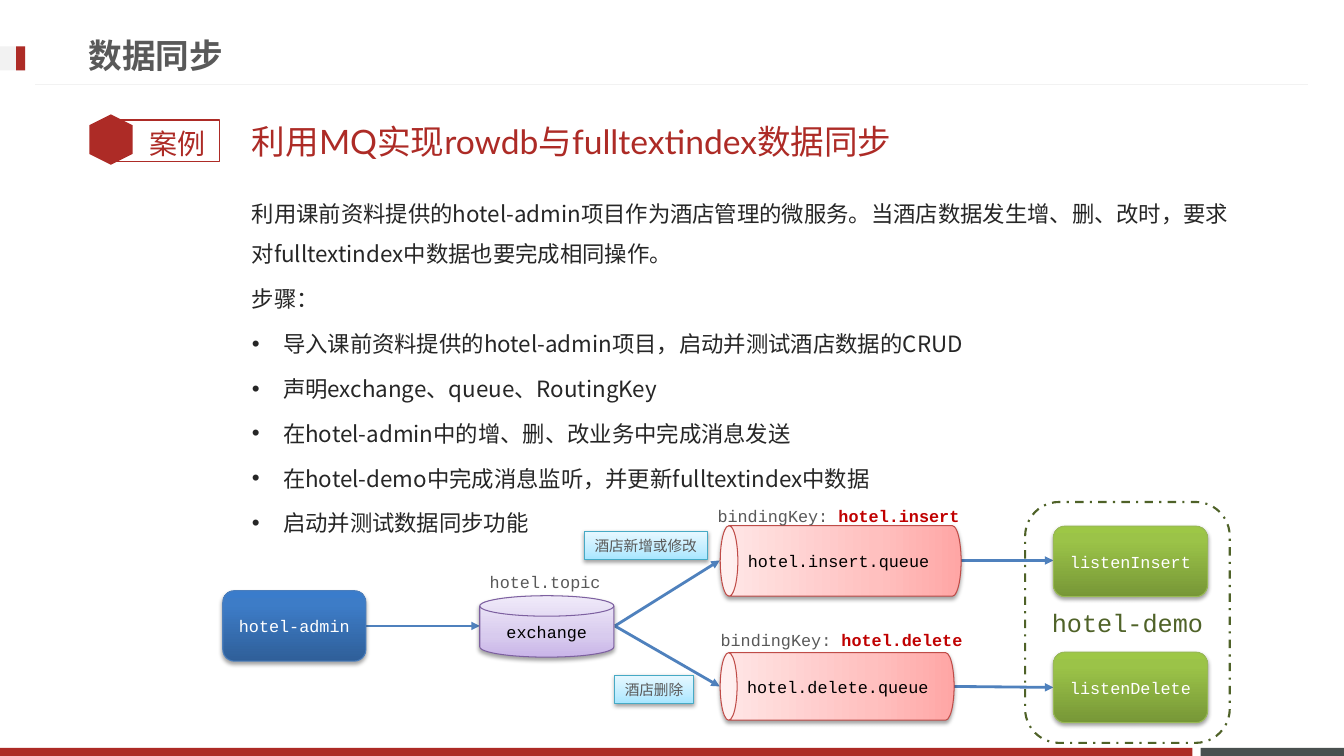
from copy import deepcopy

from lxml import etree
from pptx import Presentation
from pptx import util as u
from pptx.dml.color import RGBColor
from pptx.enum import dml, shapes, text
from pptx.oxml.ns import qn

RED = RGBColor(0xAD, 0x2B, 0x26)
KEY_RED = RGBColor(0xC0, 0x00, 0x00)
SLATE = RGBColor(0x49, 0x50, 0x4F)
PALE = RGBColor(0xF2, 0xF2, 0xF2)
GRAY = RGBColor(0x59, 0x59, 0x59)
INK = RGBColor(0x26, 0x26, 0x26)
BLACK = RGBColor(0, 0, 0)
WHITE = RGBColor(0xFF, 0xFF, 0xFF)
OLIVE = RGBColor(0x4F, 0x62, 0x28)
ARROW_BLUE = RGBColor(0x4F, 0x81, 0xBD)

# Each theme: outline, gradient stops from bottom to top, middle stop position
BLUE_THEME = (RGBColor(0x4B, 0x7E, 0xBC),
              (RGBColor(0x2F, 0x5F, 0x99), RGBColor(0x3D, 0x7C, 0xC7), RGBColor(0x3A, 0x7C, 0xCB)), 0.8)
GREEN_THEME = (RGBColor(0x98, 0xB9, 0x55),
               (RGBColor(0x77, 0x97, 0x37), RGBColor(0x9B, 0xC3, 0x48), RGBColor(0x9D, 0xC7, 0x46)), 0.8)
PINK_THEME = (RGBColor(0xBF, 0x4C, 0x48),
              (RGBColor(0xFF, 0xA6, 0xA5), RGBColor(0xFF, 0xC0, 0xBF), RGBColor(0xFF, 0xE7, 0xE7)), 0.35)
PURPLE_THEME = (RGBColor(0x7D, 0x60, 0xA0),
                (RGBColor(0xC9, 0xB5, 0xE8), RGBColor(0xD8, 0xCB, 0xEE), RGBColor(0xF0, 0xEA, 0xF9)), 0.35)
CYAN_THEME = (RGBColor(0x46, 0xAA, 0xC5),
              (RGBColor(0xA7, 0xE6, 0xFF), RGBColor(0xC1, 0xED, 0xFF), RGBColor(0xE7, 0xF8, 0xFF)), 0.35)

MONO = "Courier New"
CJK = "Noto Sans CJK JP"
KIND = shapes.MSO_SHAPE

presentation = Presentation()
presentation.slide_width = u.Inches(13.333)
presentation.slide_height = u.Inches(7.5)
slide = presentation.slides.add_slide(presentation.slide_layouts[6])
CELL = presentation.slide_height / 45  # grid of 80 columns by 45 rows


def cells(*values):
    return [round(value * CELL) for value in values]


def write(shape, *runs, size=12, color=GRAY, font=MONO, bold=False, align=None,
          anchor=text.MSO_ANCHOR.MIDDLE, wrap=True, new=False, bullet=False,
          spacing=None, before=None):
    """Add one paragraph; a run is a string or (string, colour) for bold emphasis."""
    frame = shape.text_frame
    frame.word_wrap = wrap
    frame.vertical_anchor = anchor
    paragraph = frame.add_paragraph() if new else frame.paragraphs[0]
    paragraph.alignment = align or text.PP_ALIGN.LEFT
    paragraph.line_spacing = spacing
    paragraph.space_before = before
    if bullet:
        properties = paragraph._p.get_or_add_pPr()
        properties.set("marL", str(u.Inches(0.31)))
        properties.set("indent", str(u.Inches(-0.31)))
        etree.SubElement(properties, qn("a:buFont")).set("typeface", "Arial")
        etree.SubElement(properties, qn("a:buChar")).set("char", "•")
    for item in runs:
        words, tint = (item, None) if isinstance(item, str) else item
        run = paragraph.add_run()
        run.text = words
        run.font.size = u.Pt(size)
        run.font.bold = bold or tint is not None
        run.font.color.rgb = tint or color
        run.font.name = font
        etree.SubElement(run._r.rPr, qn("a:ea")).set("typeface", CJK)


# Page furniture: footer bars, title tab, case badge, title rule
for kind, box, fill, outline, rotation in (
        (KIND.RECTANGLE, (71.46, 44.52, 8.54, 0.48), SLATE, None, 0),
        (KIND.RECTANGLE, (0, 44.52, 70.98, 0.48), RED, None, 0),
        (KIND.RECTANGLE, (0, 2.76, 1.5, 1.44), PALE, None, 0),
        (KIND.RECTANGLE, (0.96, 2.76, 0.54, 1.44), RED, None, 0),
        (KIND.RECTANGLE, (6.54, 7.14, 6.54, 2.46), None, RED, 0),
        (KIND.HEXAGON, (5.1, 7.02, 3, 2.58), RED, None, 90)):
    shape = slide.shapes.add_shape(kind, *cells(*box))
    shape.shadow.inherit = False
    shape.rotation = rotation
    if fill is None:
        shape.fill.background()
        shape.line.color.rgb = outline
        shape.line.width = u.Pt(1)
    else:
        shape.fill.solid()
        shape.fill.fore_color.rgb = fill
        shape.line.fill.background()

rule = slide.shapes.add_connector(shapes.MSO_CONNECTOR.STRAIGHT, *cells(2.1, 5.04, 77.88, 5.04))
rule.line.color.rgb = PALE
rule.line.width = u.Pt(0.75)
etree.SubElement(rule._element.spPr, qn("a:effectLst"))

# Headings
for box, words, style in (
        ((8.28, 6.87, 5.1, 3.36), "案例", dict(size=20, color=RED, font="Roboto")),
        ((4.68, 1.56, 57.54, 3.42), "数据同步", dict(size=24, font="Roboto", bold=True)),
        ((14.4, 6.66, 60.48, 3.42), "利用MQ实现rowdb与fulltextindex数据同步",
         dict(size=24, color=RED, font="Lato"))):
    write(slide.shapes.add_textbox(*cells(*box)), words, **style)

# Task description and steps
body = slide.shapes.add_textbox(*cells(14.4, 10.86, 60.48, 27.66))
for index, words in enumerate((
        "利用课前资料提供的hotel-admin项目作为酒店管理的微服务。当酒店数据发生增、删、改时，"
        "要求对fulltextindex中数据也要完成相同操作。",
        "步骤：",
        "导入课前资料提供的hotel-admin项目，启动并测试酒店数据的CRUD",
        "声明exchange、queue、RoutingKey",
        "在hotel-admin中的增、删、改业务中完成消息发送",
        "在hotel-demo中完成消息监听，并更新fulltextindex中数据",
        "启动并测试数据同步功能")):
    write(body, words, size=16, color=INK, font=CJK, anchor=text.MSO_ANCHOR.TOP,
          new=index > 0, bullet=index > 1, spacing=u.Pt(28.6), before=u.Pt(3.4))

# Message arrows
for ends in ((21.78, 37.26, 28.56, 37.26), (57.18, 33.36, 62.7, 33.36),
             (36.6, 37.26, 42.84, 33.36), (36.6, 37.26, 42.84, 40.86),
             (56.76, 40.86, 62.7, 40.92)):
    arrow = slide.shapes.add_connector(shapes.MSO_CONNECTOR.STRAIGHT, *cells(*ends))
    arrow.line.color.rgb = ARROW_BLUE
    arrow.line.width = u.Pt(2)
    etree.SubElement(arrow.line._get_or_add_ln(), qn("a:tailEnd")).set("type", "triangle")
    etree.SubElement(arrow._element.spPr, qn("a:effectLst"))

# Services, exchange, queues and tags
centered = dict(align=text.PP_ALIGN.CENTER)
on_dark = dict(color=WHITE, **centered)
on_light = dict(color=BLACK, **centered)
tag = dict(size=10.5, wrap=False)
for kind, box, theme, words, style in (
        (KIND.ROUNDED_RECTANGLE, (13.26, 35.16, 8.52, 4.2), BLUE_THEME, "hotel-admin", on_dark),
        (KIND.ROUNDED_RECTANGLE, (62.7, 31.32, 9.18, 4.2), GREEN_THEME, "listenInsert", on_dark),
        (KIND.ROUNDED_RECTANGLE, (62.7, 38.82, 9.18, 4.2), GREEN_THEME, "listenDelete", on_dark),
        (KIND.CAN, (47.94, 26.22, 4.2, 14.34), PINK_THEME, "hotel.insert.queue", on_light),
        (KIND.CAN, (47.82, 33.9, 4.02, 13.92), PINK_THEME, "hotel.delete.queue", on_light),
        (KIND.FLOWCHART_MAGNETIC_DISK, (28.56, 35.46, 7.98, 3.66), PURPLE_THEME, "exchange", on_light),
        (KIND.RECTANGLE, (34.8, 31.62, 7.32, 1.68), CYAN_THEME, "酒店新增或修改", tag),
        (KIND.RECTANGLE, (36.6, 40.2, 4.68, 1.68), CYAN_THEME, "酒店删除", tag)):
    shape = slide.shapes.add_shape(kind, *cells(*box))
    outline, colors, middle = theme
    shape.line.color.rgb = outline
    shape.line.width = u.Pt(0.75)
    shape.fill.gradient()
    shape.fill.gradient_angle = 90
    stops = shape._element.spPr.find(".//" + qn("a:gsLst"))
    stops.insert(1, deepcopy(stops[0]))
    for stop, color, position in zip(shape.fill.gradient_stops, colors, (0, middle, 1)):
        stop.color.rgb = color
        stop.position = position
    shape.shadow.inherit = False
    shadow = etree.SubElement(shape._element.spPr.find(qn("a:effectLst")), qn("a:outerShdw"),
                              blurRad=str(u.Pt(3.1)), dist=str(u.Pt(1.7)), dir="5400000", rotWithShape="0")
    shade = etree.SubElement(shadow, qn("a:srgbClr"), val="000000")
    etree.SubElement(shade, qn("a:alpha"), val="36000")
    if kind == KIND.CAN:
        shape.rotation = 270
        shape.text_frame._txBody.bodyPr.set("vert", "eaVert")
    write(shape, words, **style)

# Frame around the consumer service
demo = slide.shapes.add_shape(KIND.ROUNDED_RECTANGLE, *cells(61.02, 29.88, 12.18, 14.34))
demo.shadow.inherit = False
demo.fill.background()
demo.line.color.rgb = OLIVE
demo.line.width = u.Pt(1.5)
demo.line.dash_style = dml.MSO_LINE.DASH_DOT
write(demo, "hotel-demo", size=18, color=OLIVE, **centered)

# Captions above the exchange and the queues
for box, runs in (
        ((42.12, 29.82, 15.84, 1.8), ("bindingKey: ", ("hotel.insert", KEY_RED))),
        ((42.3, 37.2, 15.84, 1.8), ("bindingKey:", (" hotel.delete", KEY_RED))),
        ((28.56, 33.72, 7.92, 1.8), ("hotel.topic",))):
    write(slide.shapes.add_textbox(*cells(*box)), *runs, wrap=False)

presentation.save("out.pptx")
